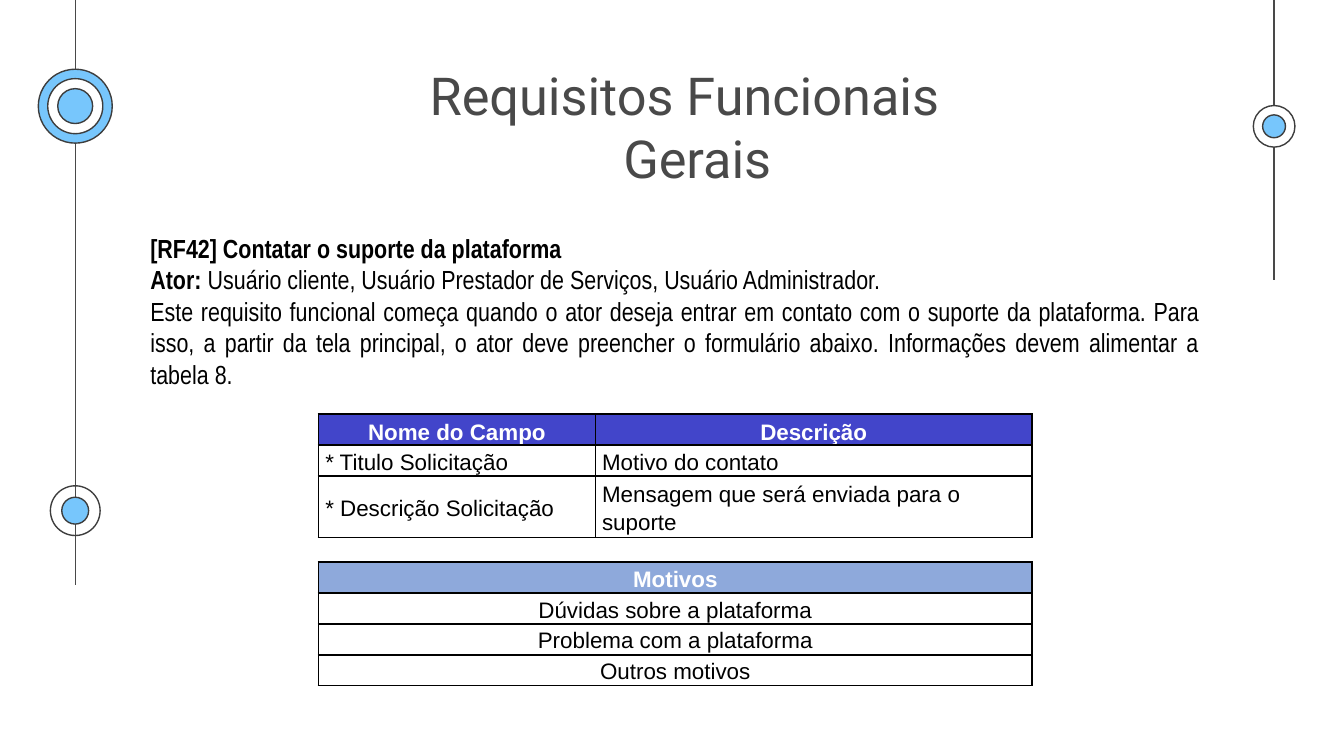
from pptx import Presentation
from pptx.dml.color import RGBColor
from pptx.enum.shapes import MSO_CONNECTOR as Connector, MSO_SHAPE as Shape
from pptx.enum.text import MSO_ANCHOR as Anchor, MSO_AUTO_SIZE as AutoSize, PP_ALIGN as Align
from pptx.oxml.xmlchemy import OxmlElement
from pptx.util import Inches, Pt

COLORS = {"line": "494949", "ring": "3D3D3D", "sky": "77C6FC", "white": "FFFFFF",
          "black": "000000", "header": "4245CA", "subheader": "8EA9DB"}
FIELDS = [("Nome do Campo", "Descrição"),
          ("* Titulo Solicitação", "Motivo do contato"),
          ("* Descrição Solicitação", "Mensagem que será enviada para o suporte")]
REASONS = ["Motivos", "Dúvidas sobre a plataforma", "Problema com a plataforma", "Outros motivos"]
DETAILS = [
    [("[RF42] Contatar o suporte da plataforma", True)],
    [("Ator: ", True),
     ("Usuário cliente, Usuário Prestador de Serviços, Usuário Administrador.", False)],
    [("Este requisito funcional começa quando o ator deseja entrar em contato com o suporte "
      "da plataforma. Para isso, a partir da tela principal, o ator deve preencher o "
      "formulário abaixo. Informações devem alimentar a tabela 8.", False)],
]


def rgb(name):
    return RGBColor.from_string(COLORS[name])


class SlideBuilder:
    """Holds the style and the current slide, and draws each kind of element."""

    def __init__(self, slide):
        self.slide = slide
        self.shapes = slide.shapes

    def style(self, paragraph, font_name, size, color, align, bold=None):
        paragraph.alignment = align
        font = paragraph.font
        font.name, font.size, font.bold = font_name, Pt(size), bold
        font.color.rgb = rgb(color)

    def title(self, lines, left, top, width, height):
        box = self.shapes.title
        box.left, box.top, box.width, box.height = map(Inches, (left, top, width, height))
        frame = box.text_frame
        frame.auto_size, frame.vertical_anchor = AutoSize.NONE, Anchor.TOP
        frame.margin_left = frame.margin_right = Inches(0.1)
        frame.margin_top = frame.margin_bottom = Inches(0.1)
        para = frame.paragraphs[0]
        self.style(para, "Roboto", 28, "line", Align.CENTER)
        for index, line in enumerate(lines):
            if index:
                para.add_line_break()
            para.add_run().text = line

    def line(self, x, bottom):
        line = self.shapes.add_connector(
            Connector.STRAIGHT, Inches(x), 0, Inches(x), Inches(bottom))
        line.line.color.rgb, line.line.width = rgb("line"), Pt(0.75)
        line._element.spPr.append(OxmlElement("a:effectLst"))

    def circle(self, x, y, diameter, color):
        radius = diameter / 2
        circle = self.shapes.add_shape(
            Shape.OVAL, Inches(x - radius), Inches(y - radius), Inches(diameter), Inches(diameter))
        circle.shadow.inherit = False
        circle.line.color.rgb, circle.line.width = rgb("ring"), Pt(0.75)
        if color:
            circle.fill.solid()
            circle.fill.fore_color.rgb = rgb(color)
        else:
            circle.fill.background()

    def text(self, paragraphs, left, top, width, height):
        box = self.shapes.add_textbox(*map(Inches, (left, top, width, height)))
        frame = box.text_frame
        frame.word_wrap = True
        for index, spans in enumerate(paragraphs):
            para = frame.add_paragraph() if index else frame.paragraphs[0]
            self.style(para, "Arial Narrow", 14, "black", Align.JUSTIFY)
            for words, bold in spans:
                span = para.add_run()
                span.text, span.font.bold = words, bold

    def table(self, left, top, widths, heights):
        frame = self.shapes.add_table(
            len(heights), len(widths), Inches(left), Inches(top),
            Inches(sum(widths)), Inches(sum(heights)))
        table = frame.table
        table.first_row = table.horz_banding = False
        for column, width in zip(table.columns, widths):
            column.width = Inches(width)
        for row, height in zip(table.rows, heights):
            row.height = Inches(height)
        return table

    def border(self, cell, drawn_sides):
        properties = cell._tc.get_or_add_tcPr()
        for side in "LRTB":
            edge = OxmlElement(f"a:ln{side}")
            edge.set("w", str(Pt(1)))
            if side in drawn_sides:
                fill = OxmlElement("a:solidFill")
                color = OxmlElement("a:srgbClr")
                color.set("val", COLORS["black"])
                fill.append(color)
            else:
                fill = OxmlElement("a:noFill")
            edge.append(fill)
            properties.append(edge)

    def cell(self, cell, words="", fill=None, align=Align.LEFT, anchor=Anchor.MIDDLE, sides="LRTB"):
        self.border(cell, sides)
        if fill:
            cell.fill.solid()
            cell.fill.fore_color.rgb = rgb(fill)
        else:
            cell.fill.background()
        cell.margin_left = cell.margin_right = Inches(0.05)
        cell.margin_top = cell.margin_bottom = 0
        cell.vertical_anchor = anchor
        para = cell.text_frame.paragraphs[0]
        para.line_spacing = 1.15
        self.style(para, "Arial", 12 if words else 9, "white" if fill else "black",
                   align, bool(fill))
        if words:
            para.add_run().text = words
        else:
            end = OxmlElement("a:endParaRPr")
            end.set("sz", "900")
            para._p.append(end)


def main():
    deck = Presentation()
    deck.slide_width = Inches(10)
    deck.slide_height = deck.slide_width * 9 // 16
    page = SlideBuilder(deck.slides.add_slide(deck.slide_layouts[5]))

    page.line(0.56, 4.35)
    page.line(9.48, 2.08)
    for x, y, rings in [
        (0.56, 3.8, [(0.37, None), (0.2, "sky")]),
        (9.48, 0.94, [(0.31, "white"), (0.17, "sky")]),
        (0.56, 0.79, [(0.55, "sky"), (0.41, "white"), (0.26, "sky")]),
    ]:
        for diameter, color in rings:
            page.circle(x, y, diameter, color)

    page.title(["Requisitos Funcionais ", " Gerais"], 3.06, 0.37, 4.16, 0.63)
    page.text(DETAILS, 1.02, 1.68, 8.01, 1.51)

    table = page.table(2.37, 3.08, [2.06, 3.25], [0.23, 0.23, 0.46, 0.18] + [0.23] * 4)
    for row, fields in enumerate(FIELDS):
        for column, words in enumerate(fields):
            if row == 0:
                page.cell(table.cell(row, column), words, "header", Align.CENTER, Anchor.BOTTOM)
            else:
                page.cell(table.cell(row, column), words)
    gap_row = len(FIELDS)
    for column in range(2):
        page.cell(table.cell(gap_row, column), sides="TB")
    for row, words in enumerate(REASONS, gap_row + 1):
        first, last = table.cell(row, 0), table.cell(row, 1)
        first.merge(last)
        page.cell(first, words, "subheader" if words == REASONS[0] else None, Align.CENTER)
        page.border(last, "LRTB")

    deck.save("out.pptx")


if __name__ == "__main__":
    main()
